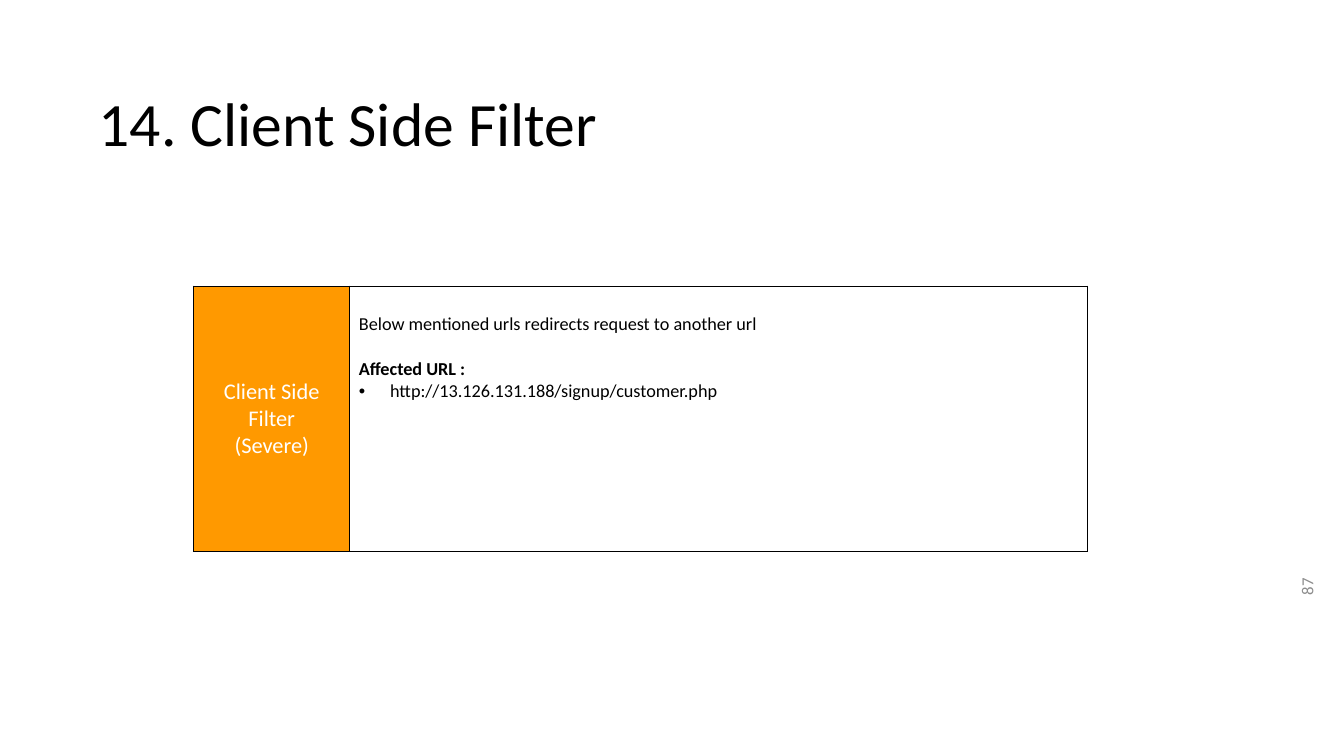
import pptx
import pptx.util
import pptx.dml.color
import pptx.enum.text
import pptx.oxml
import pptx.oxml.ns
import lxml.etree

Inches = pptx.util.Inches
Pt = pptx.util.Pt
Align = pptx.enum.text.PP_ALIGN
Anchor = pptx.enum.text.MSO_ANCHOR


def style(par, size, color, bold=False):
    for run in par.runs:
        run.font.name = "Calibri"
        run.font.size = Pt(size)
        run.font.bold = bold
        run.font.color.rgb = pptx.dml.color.RGBColor.from_string(color)


def border(cell, sides):
    """Draw black 1 pt lines on the given sides; call before filling the cell."""
    props = cell._tc.get_or_add_tcPr()
    for side in sides:
        props.append(pptx.oxml.parse_xml(
            f'<a:ln{side} {pptx.oxml.ns.nsdecls("a")} w="12700"><a:solidFill>'
            f'<a:srgbClr val="000000"/></a:solidFill></a:ln{side}>'))


deck = pptx.Presentation()
deck.slide_width = Inches(13.33)
deck.slide_height = Inches(7.5)
slide = deck.slides.add_slide(deck.slide_layouts[5])

# Title
title = slide.shapes.title
title.left, title.top = Inches(0.88), Inches(0.53)
title.width, title.height = Inches(11.5), Inches(1.45)
title.text_frame.text = "14. Client Side Filter"
title.text_frame.vertical_anchor = Anchor.MIDDLE
head = title.text_frame.paragraphs[0]
head.alignment = Align.LEFT
head.line_spacing = 0.9
style(head, 44, "000000")

# Page number, turned to read upwards
page = slide.shapes.add_textbox(Inches(12.24), Inches(6.11), Inches(1.44), Inches(0.5))
page.rotation = 270
page.text_frame.word_wrap = True
page.text_frame.vertical_anchor = Anchor.MIDDLE
page.text_frame.text = "87"
page.text_frame.paragraphs[0].alignment = Align.RIGHT
style(page.text_frame.paragraphs[0], 12, "8C8C8C")

# Finding table: an empty top row above the finding
table = slide.shapes.add_table(
    2, 2, Inches(1.92), Inches(2.39), Inches(8.87), Inches(3.08)).table
table.first_row = False
table.horz_banding = False
for col, width in zip(table.columns, (1.55, 7.32)):
    col.width = Inches(width)
for row, height in zip(table.rows, (0.45, 2.63)):
    row.height = Inches(height)

for top, cell, fill in zip(table.rows[0].cells, table.rows[1].cells, ("FF9900", "FFFFFF")):
    border(top, "B")
    top.fill.background()
    border(cell, "LRTB")
    cell.fill.solid()
    cell.fill.fore_color.rgb = pptx.dml.color.RGBColor.from_string(fill)
    cell.margin_left = cell.margin_right = Inches(0.09)
    cell.margin_top = cell.margin_bottom = Inches(0.05)

label, detail = table.rows[1].cells
label.vertical_anchor = Anchor.MIDDLE
label.text_frame.text = "Client Side Filter\n(Severe)"
for par in label.text_frame.paragraphs:
    par.alignment = Align.CENTER
    style(par, 16, "FFFFFF")

detail.margin_top = Inches(0.27)
detail.text_frame.text = (
    "Below mentioned urls redirects request to another url\n"
    "Affected URL :\n"
    "http://13.126.131.188/signup/customer.php")
note, lead, link = detail.text_frame.paragraphs
lead.space_before = Pt(16)
props = link._p.get_or_add_pPr()
props.set("marL", str(Inches(0.31)))
props.set("indent", str(Inches(-0.31)))
font = lxml.etree.SubElement(props, pptx.oxml.ns.qn("a:buFont"))
font.set("typeface", "Arial")
mark = lxml.etree.SubElement(props, pptx.oxml.ns.qn("a:buChar"))
mark.set("char", "•")
for par in (note, lead, link):
    style(par, 13, "000000", par is lead)

deck.save("out.pptx")
